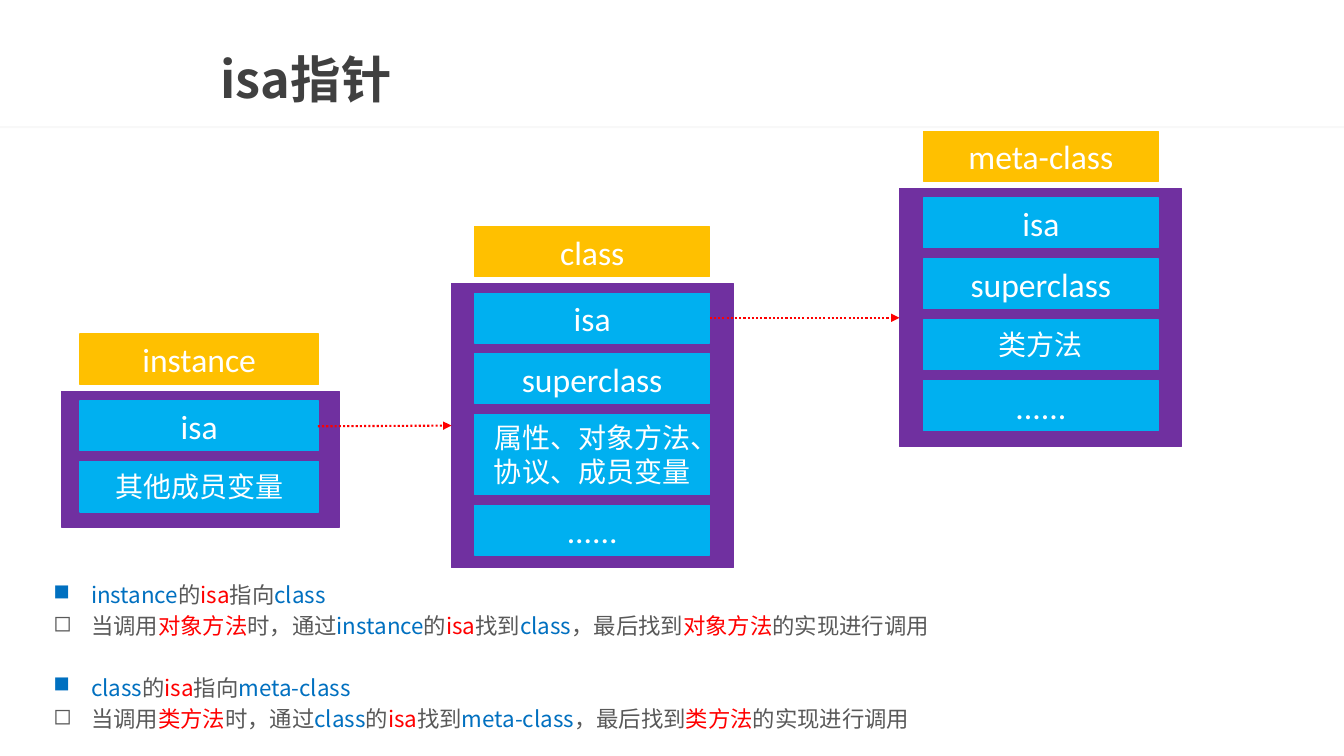
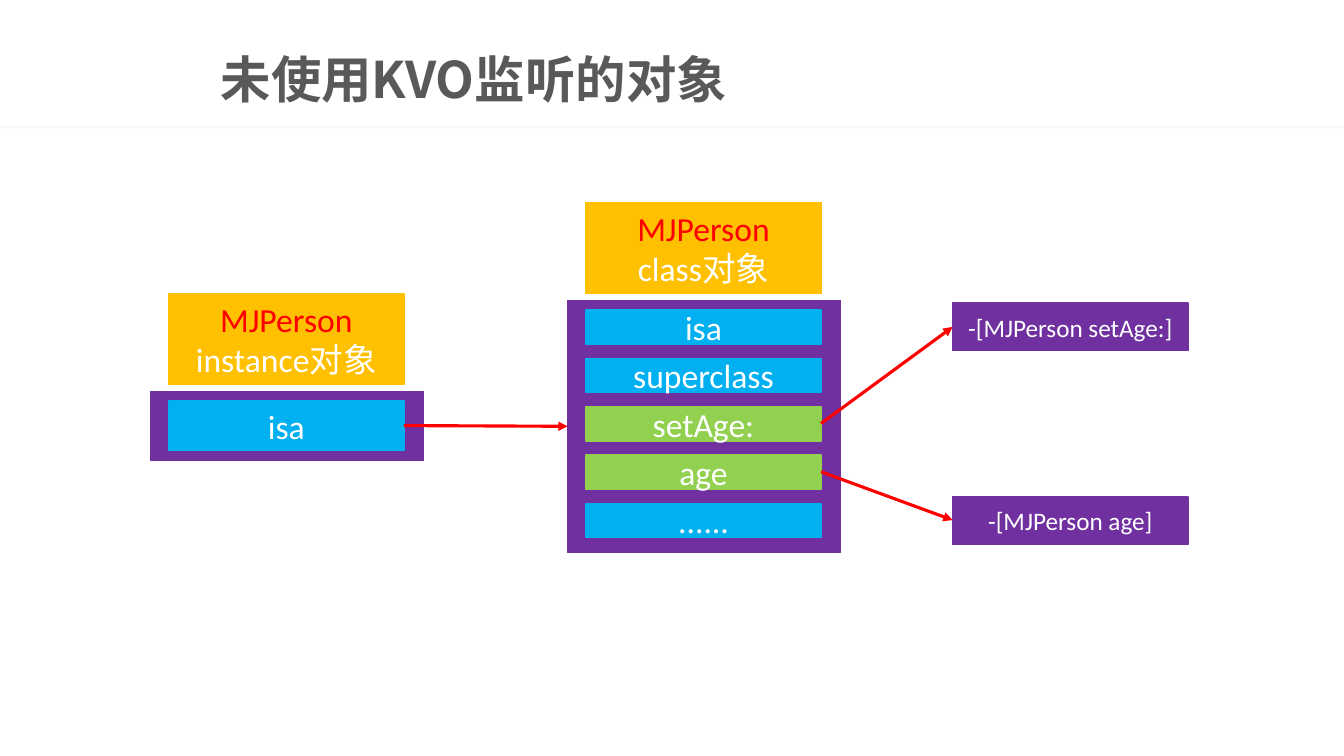
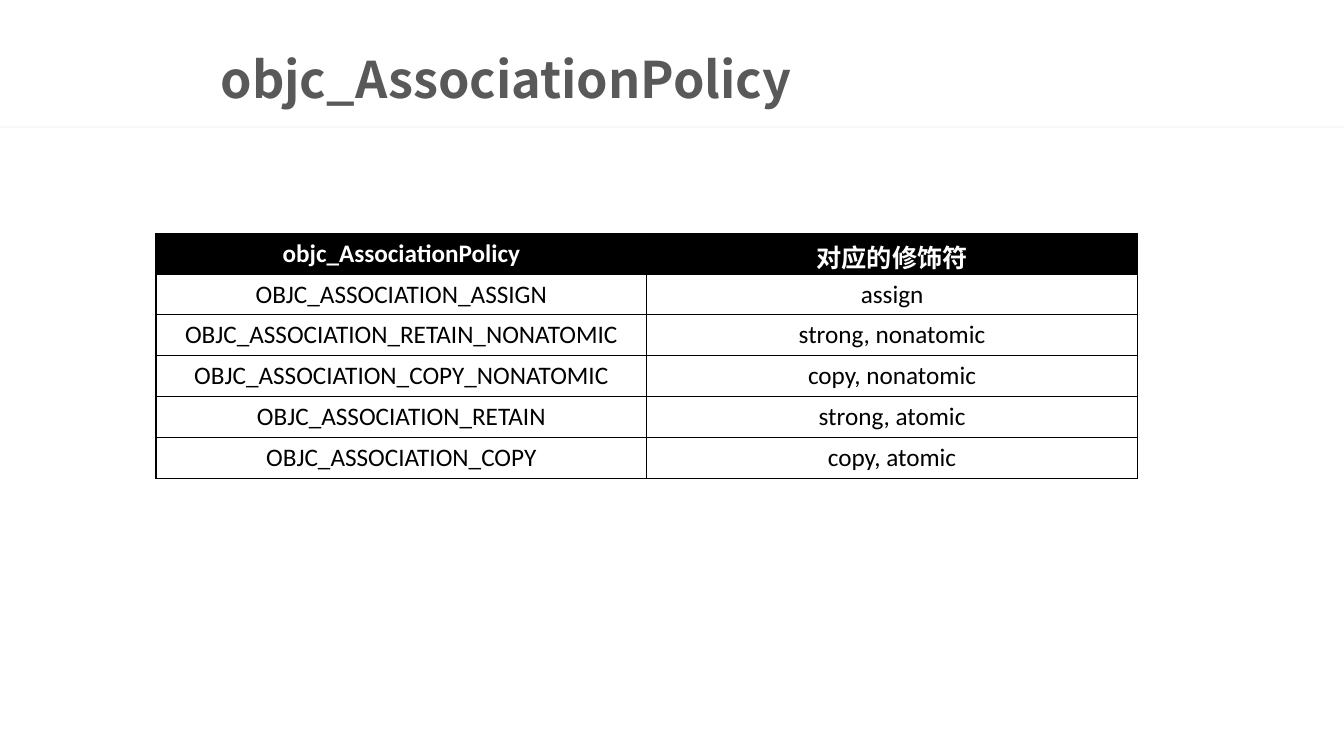
from pptx import Presentation
from pptx.dml.color import RGBColor
from pptx.enum.dml import MSO_LINE
from pptx.enum.shapes import MSO_CONNECTOR, MSO_SHAPE
from pptx.enum.text import MSO_ANCHOR, PP_ALIGN
from pptx.oxml.ns import qn
from pptx.util import Pt
from lxml.etree import SubElement

WHITE = RGBColor(0xFF, 0xFF, 0xFF)
BLACK = RGBColor(0x00, 0x00, 0x00)
CHARCOAL = RGBColor(0x40, 0x40, 0x40)
GREY = RGBColor(0x59, 0x59, 0x59)
PALE = RGBColor(0xEA, 0xEA, 0xEA)
PURPLE = RGBColor(0x70, 0x30, 0xA0)
GOLD = RGBColor(0xFF, 0xC0, 0x00)
SKY = RGBColor(0x00, 0xB0, 0xF0)
GREEN = RGBColor(0x92, 0xD0, 0x50)
RED = RGBColor(0xFF, 0x00, 0x00)
BLUE = RGBColor(0x00, 0x70, 0xC0)

HAN_FONT = "Noto Sans CJK SC"
TITLE = {"name": HAN_FONT, "size": Pt(36), "bold": True}
BODY = {"name": HAN_FONT, "size": Pt(16)}
LARGE = {"name": "Calibri", "size": Pt(24)}
MEDIUM = {"name": "Calibri", "size": Pt(20)}
SMALL = {"name": "Calibri", "size": Pt(18)}
HEADING = {**SMALL, "bold": True}


def write(frame, lines, style, align=PP_ALIGN.CENTER):
    """Fill a text frame; each line is a list of (text, colour) spans."""
    for number, line in enumerate(lines):
        para = frame.add_paragraph() if number else frame.paragraphs[0]
        para.alignment = align
        for text, colour in line:
            span = para.add_run()
            span.text = text
            span.font.color.rgb = colour
            for key, value in style.items():
                setattr(span.font, key, value)
            SubElement(span.font._element, qn("a:ea"), typeface=HAN_FONT)


def add_box(slide, left, top, width, height, fill, lines=(), style=LARGE):
    box = slide.shapes.add_shape(
        MSO_SHAPE.RECTANGLE, Pt(left), Pt(top), Pt(width), Pt(height))
    box.shadow.inherit = False
    box.fill.solid()
    box.fill.fore_color.rgb = fill
    box.line.color.rgb = fill
    box.line.width = Pt(1)
    box.text_frame.word_wrap = True
    box.text_frame.vertical_anchor = MSO_ANCHOR.MIDDLE
    write(box.text_frame, lines, style)
    return box


deck = Presentation()
deck.slide_width, deck.slide_height = Pt(960), Pt(540)

# Slides with title and rule
slides = []
for title, colour in [("isa指针", CHARCOAL), ("未使用KVO监听的对象", GREY),
                      ("objc_AssociationPolicy", GREY)]:
    slide = deck.slides.add_slide(deck.slide_layouts[6])
    rule = add_box(slide, 0, 90, 960, 1.5, PALE)
    rule.line.fill.background()
    rule_colour = rule.fill._xPr.find(qn("a:solidFill"))[0]
    SubElement(rule_colour, qn("a:alpha"), val="32000")
    box = slide.shapes.add_textbox(Pt(150.5), Pt(31), Pt(794), Pt(56))
    box.text_frame.word_wrap = True
    box.text_frame.vertical_anchor = MSO_ANCHOR.MIDDLE
    write(box.text_frame, [[(title, colour)]], TITLE, PP_ALIGN.LEFT)
    box.text_frame.paragraphs[0].line_spacing = 0.9
    slides.append(slide)
isa_slide, kvo_slide, policy_slide = slides

# Object stacks: a header above a purple frame that holds equally spaced slots
ISA = ("isa", LARGE, 35.5, SKY)
SUPERCLASS = ("superclass", LARGE, 35.5, SKY)
MORE = ("......", LARGE, 35.5, SKY)
PERSON = [("MJPerson", RED)]
stacks = [
    (isa_slide, (44, 279.5, 198.5, 97), 57, 170.5, 36, 7.7,
     [[("instance", WHITE)]],
     [ISA, ("其他成员变量", MEDIUM, 36, SKY)]),
    (isa_slide, (322.5, 202.5, 201.5, 203), 339, 168, 35.5, 7.7,
     [[("class", WHITE)]],
     [ISA, SUPERCLASS,
      ("属性、对象方法、协议、成员变量", MEDIUM, 57.5, SKY), MORE]),
    (isa_slide, (642.5, 134.5, 201.5, 184.5), 659.5, 168, 35.5, 8,
     [[("meta-class", WHITE)]],
     [ISA, SUPERCLASS, ("类方法", MEDIUM, 35.5, SKY), MORE]),
    (kvo_slide, (107.5, 279.5, 195, 49.5), 120.5, 168, 65, 10,
     [PERSON, [("instance对象", WHITE)]], [ISA]),
    (kvo_slide, (405.5, 214.5, 195, 180), 418.5, 168, 65, 10,
     [PERSON, [("class对象", WHITE)]],
     [(text, LARGE, 24.5, fill) for text, fill in [
         ("isa", SKY), ("superclass", SKY), ("setAge:", GREEN),
         ("age", GREEN), ("......", SKY)]]),
]
for slide, frame, left, width, header_height, gap, header, slots in stacks:
    frame_top = frame[1]
    add_box(slide, *frame, PURPLE)
    add_box(slide, left, frame_top - 5 - header_height, width, header_height,
            GOLD, header)
    top = frame_top + 7
    for text, style, height, fill in slots:
        add_box(slide, left, top, width, height, fill, [[(text, WHITE)]], style)
        top += height + gap

# Method implementations
for top, text in [(216.5, "-[MJPerson setAge:]"), (355, "-[MJPerson age]")]:
    add_box(kvo_slide, 680.5, top, 168, 34, PURPLE, [[(text, WHITE)]], SMALL)

# Arrows
DOTTED = {"width": Pt(1.5), "dash_style": MSO_LINE.ROUND_DOT}
SOLID = {"width": Pt(2.25)}
for slide, ends, style in [
    (isa_slide, (227, 304.5, 322.5, 304), DOTTED),
    (isa_slide, (507, 227, 642.5, 227), DOTTED),
    (kvo_slide, (288.5, 304, 405.5, 304.5), SOLID),
    (kvo_slide, (586.5, 302.5, 680.5, 233.5), SOLID),
    (kvo_slide, (586.5, 337, 680.5, 371.5), SOLID),
]:
    arrow = slide.shapes.add_connector(
        MSO_CONNECTOR.STRAIGHT, *[Pt(value) for value in ends])
    arrow.line.color.rgb = RED
    for key, value in style.items():
        setattr(arrow.line, key, value)
    SubElement(arrow.line._get_or_add_ln(), qn("a:tailEnd"), type="triangle")
    SubElement(arrow._element.spPr, qn("a:effectLst"))

# Explanation: a heading and a detail line for each pair of objects
lines = []
for source, target, method in [("instance", "class", "对象方法"),
                               ("class", "meta-class", "类方法")]:
    lines.append([(source, BLUE), ("的", GREY), ("isa", RED), ("指向", GREY),
                  (target, BLUE)])
    lines.append([("当调用", GREY), (method, RED), ("时，通过", GREY),
                  (source, BLUE), ("的", GREY), ("isa", RED), ("找到", GREY),
                  (target, BLUE), ("，最后找到", GREY), (method, RED),
                  ("的实现进行调用", GREY)])
box = isa_slide.shapes.add_textbox(Pt(31), Pt(409), Pt(913.5), Pt(115))
box.text_frame.word_wrap = True
write(box.text_frame, lines, BODY, PP_ALIGN.LEFT)
for number, para in enumerate(box.text_frame.paragraphs):
    para.line_spacing = Pt(22)
    if number == 2:
        para.space_before = Pt(22)
    properties = para._p.get_or_add_pPr()
    properties.set("marL", str(Pt(27)))
    properties.set("indent", str(-Pt(27)))
    SubElement(properties, qn("a:buChar"), char="■◻"[number % 2])

# Policy table
rows = [
    ("objc_AssociationPolicy", "对应的修饰符"),
    ("OBJC_ASSOCIATION_ASSIGN", "assign"),
    ("OBJC_ASSOCIATION_RETAIN_NONATOMIC", "strong, nonatomic"),
    ("OBJC_ASSOCIATION_COPY_NONATOMIC", "copy, nonatomic"),
    ("OBJC_ASSOCIATION_RETAIN", "strong, atomic"),
    ("OBJC_ASSOCIATION_COPY", "copy, atomic"),
]
table = policy_slide.shapes.add_table(
    len(rows), 2, Pt(111.5), Pt(166.5), Pt(701), Pt(175.2)).table
table.horz_banding = False
for row_number, row in enumerate(rows):
    is_header = row_number == 0
    for column_number, text in enumerate(row):
        cell = table.cell(row_number, column_number)
        cell.vertical_anchor = MSO_ANCHOR.MIDDLE
        write(cell.text_frame, [[(text, WHITE if is_header else BLACK)]],
              HEADING if is_header else {**SMALL, "bold": False})
        properties = cell._tc.get_or_add_tcPr()
        for side in ("lnL", "lnR", "lnT", "lnB"):
            border = SubElement(properties, qn("a:" + side), w=str(Pt(1)))
            border_fill = SubElement(border, qn("a:solidFill"))
            SubElement(border_fill, qn("a:srgbClr"), val=str(BLACK))
        if is_header:
            cell.fill.solid()
            cell.fill.fore_color.rgb = BLACK
        else:
            cell.fill.background()

deck.save("out.pptx")
